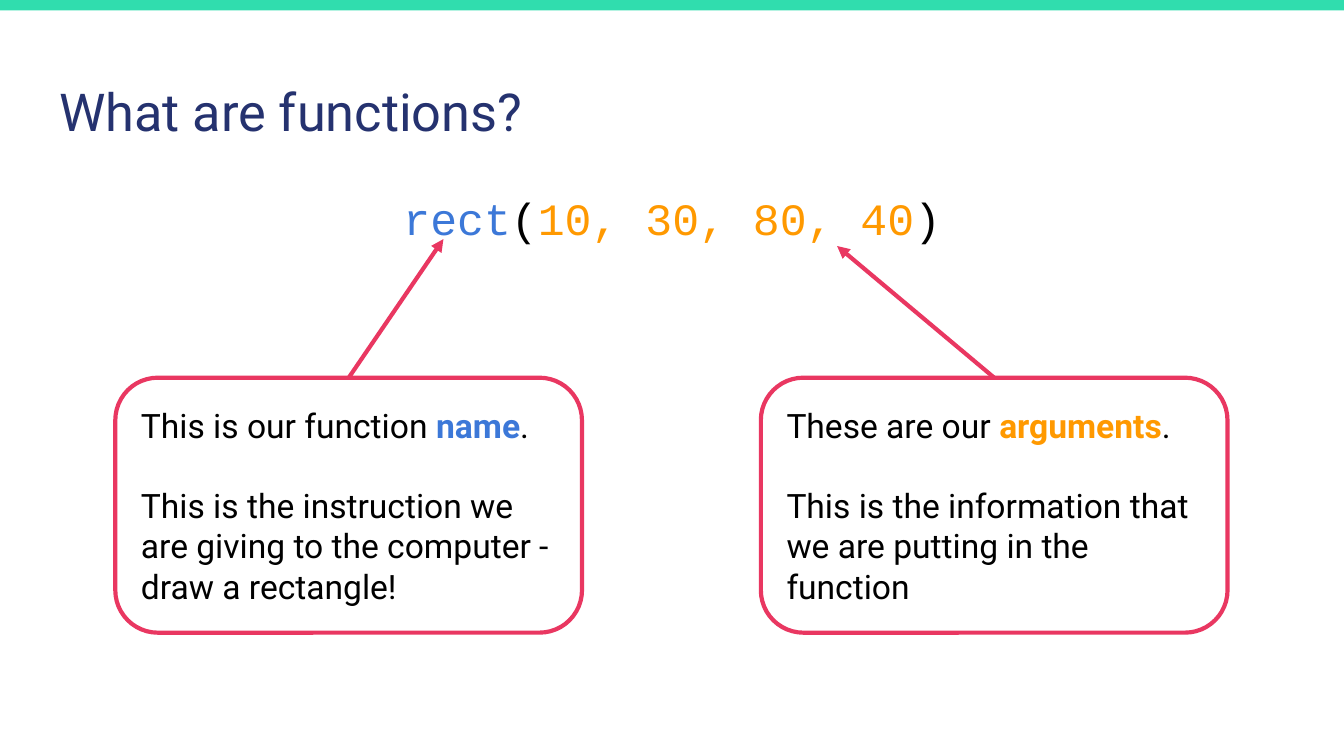
"""Build the slide that explains a function's name and arguments."""
from dataclasses import dataclass

from lxml import etree
from pptx import Presentation
from pptx.dml.color import RGBColor
from pptx.enum.shapes import MSO_CONNECTOR, MSO_SHAPE
from pptx.enum.text import MSO_ANCHOR, MSO_AUTO_SIZE, PP_ALIGN
from pptx.oxml.ns import qn
from pptx.util import Cm, Pt

RECT, ROUND_RECT = MSO_SHAPE.RECTANGLE, MSO_SHAPE.ROUNDED_RECTANGLE
STRAIGHT = MSO_CONNECTOR.STRAIGHT
TOP, MIDDLE = MSO_ANCHOR.TOP, MSO_ANCHOR.MIDDLE
LEFT, CENTER = PP_ALIGN.LEFT, PP_ALIGN.CENTER
NO_FIT = MSO_AUTO_SIZE.NONE
TOP_SIDE = 0


@dataclass(frozen=True)
class Theme:
    """Colours, fonts and type sizes of the slide."""
    bar: str = "30DDAE"
    title: str = "25326F"
    text: str = "000000"
    paper: str = "FFFFFF"
    name: str = "3C78D8"
    args: str = "FF9900"
    accent: str = "E93761"
    sans: str = "Roboto"
    mono: str = "Courier New"
    title_size: float = 28
    code_size: float = 24
    note_size: float = 18
    line_width: float = 2.25


THEME = Theme()


def set_attrs(obj, values):
    """Set each attribute of obj from a dict."""
    for key, value in values.items():
        setattr(obj, key, value)


def set_frame(tf, anchor):
    """Give a text frame its margins, wrapping and anchor."""
    margins = ("margin_left", "margin_top", "margin_right", "margin_bottom")
    set_attrs(tf, dict.fromkeys(margins, Cm(0.25)))
    set_attrs(tf, {"word_wrap": True, "auto_size": NO_FIT, "vertical_anchor": anchor})


def add_runs(p, runs, font, size):
    """Add runs of (text, colour, bold) to a paragraph."""
    for text, color, bold in runs:
        r = p.add_run()
        r.text = text
        set_attrs(r.font, {"name": font, "size": Pt(size), "bold": bold})
        r.font.color.rgb = RGBColor.from_string(color)


def fill_placeholder(sp, box, runs, font, size, layout):
    """Place a placeholder and write one unbulleted paragraph in it."""
    set_attrs(sp, dict(zip(("left", "top", "width", "height"), map(Cm, box))))
    set_frame(sp.text_frame, TOP)
    p = sp.text_frame.paragraphs[0]
    pPr = p._p.get_or_add_pPr()
    set_attrs(p, {"space_before": Pt(0), **layout})
    pPr.set("marL", "0")
    pPr.set("indent", "0")
    etree.SubElement(pPr, qn("a:buNone"))
    add_runs(p, runs, font, size)


def add_box(s, kind, box, fill):
    """Add a flat filled shape without an outline."""
    sp = s.shapes.add_shape(kind, *map(Cm, box))
    sp.shadow.inherit = False
    sp.fill.solid()
    sp.fill.fore_color.rgb = RGBColor.from_string(fill)
    sp.line.fill.background()
    return sp


def set_line(line):
    """Apply the accent outline."""
    line.color.rgb = RGBColor.from_string(THEME.accent)
    line.width = Pt(THEME.line_width)


def add_callout(s, left, heading, detail):
    """Add a rounded note with a heading and a detail paragraph."""
    sp = add_box(s, ROUND_RECT, (left, 7.14, 8.82, 4.82), THEME.paper)
    set_line(sp.line)
    tf = sp.text_frame
    set_frame(tf, MIDDLE)
    paragraphs = (tf.paragraphs[0], tf.add_paragraph())
    for p, runs in zip(paragraphs, (heading, [(detail, THEME.text, False)])):
        p.alignment = LEFT
        add_runs(p, runs, THEME.sans, THEME.note_size)
    paragraphs[1].space_before = Pt(21.5)
    return sp


def add_arrow(s, sp, x, y):
    """Point an arrow from the top of a callout to a spot in the code."""
    cxn = s.shapes.add_connector(STRAIGHT, sp.left, sp.top, Cm(x), Cm(y))
    cxn.begin_connect(sp, TOP_SIDE)
    set_line(cxn.line)
    etree.SubElement(cxn.line._get_or_add_ln(), qn("a:tailEnd"), type="triangle")
    etree.SubElement(cxn._element.spPr, qn("a:effectLst"))


def main():
    """Build and save the slide."""
    prs = Presentation()
    set_attrs(prs, {"slide_width": Cm(25.4), "slide_height": Cm(14.29)})
    s = prs.slides.add_slide(prs.slide_layouts[1])
    add_box(s, RECT, (0, 0, 25.4, 0.2), THEME.bar)
    fill_placeholder(s.shapes.title, (0.87, 1.24, 23.67, 1.6),
                     [("What are functions?", THEME.title, False)],
                     THEME.sans, THEME.title_size, {"alignment": LEFT})
    code = [("rect", THEME.name, False), ("(", THEME.text, False),
            ("10, 30, 80, 40", THEME.args, False), (")", THEME.text, False)]
    fill_placeholder(s.placeholders[1], (0.87, 3.2, 23.67, 2.9), code,
                     THEME.mono, THEME.code_size,
                     {"alignment": CENTER, "line_spacing": 1.15, "space_after": Pt(16)})
    notes = [
        (2.18, "This is our function ", "name", THEME.name,
         "This is the instruction we are giving to the computer - draw a rectangle!",
         (8.38, 4.52)),
        (14.38, "These are our ", "arguments", THEME.args,
         "This is the information that we are putting in the function",
         (15.82, 4.65)),
    ]
    for left, lead, term, color, detail, target in notes:
        heading = [(lead, THEME.text, False), (term, color, True), (".", THEME.text, False)]
        add_arrow(s, add_callout(s, left, heading, detail), *target)
    prs.save("out.pptx")


if __name__ == "__main__":
    main()
